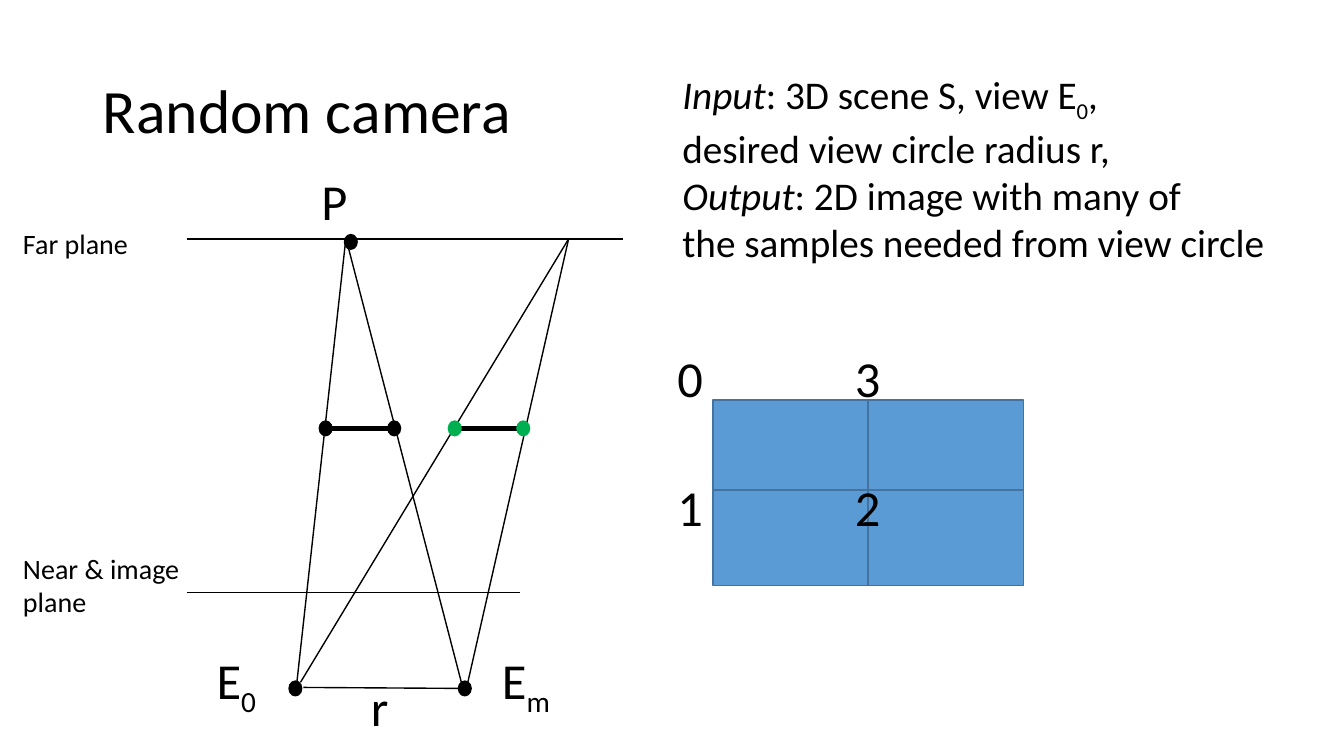
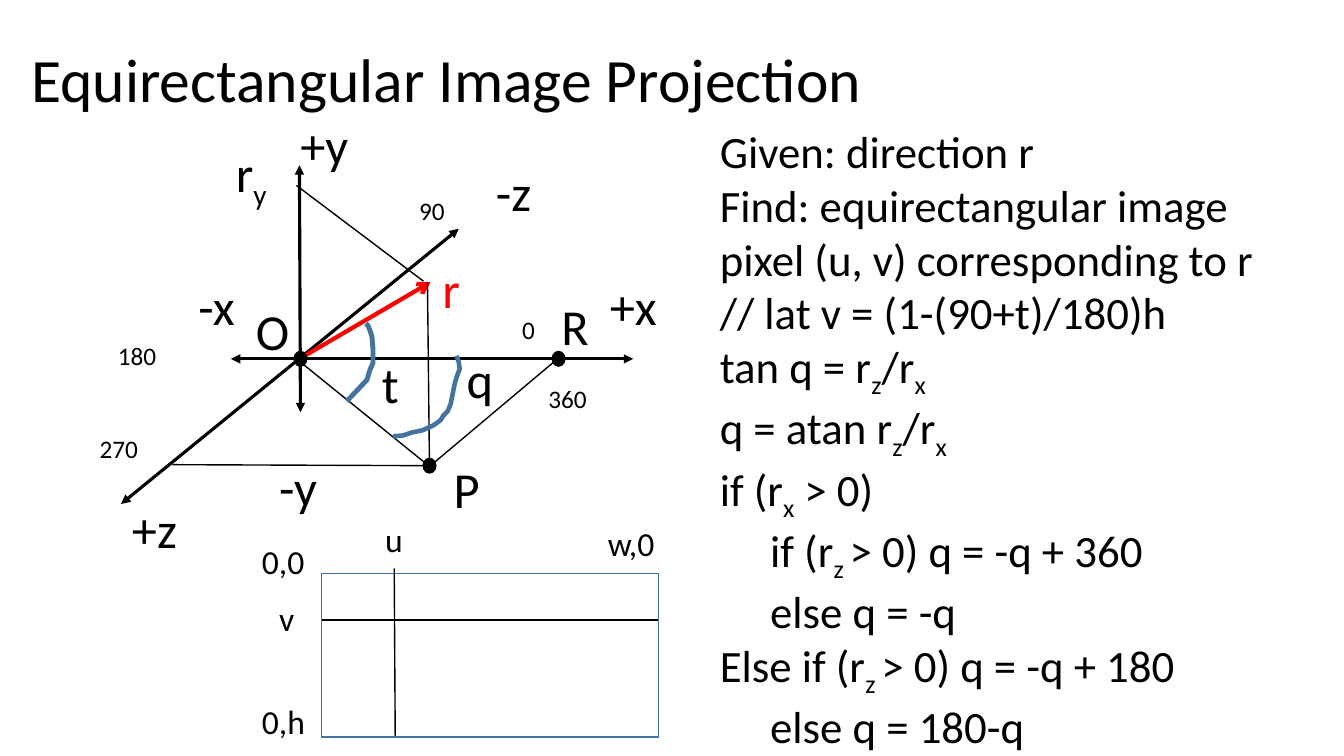
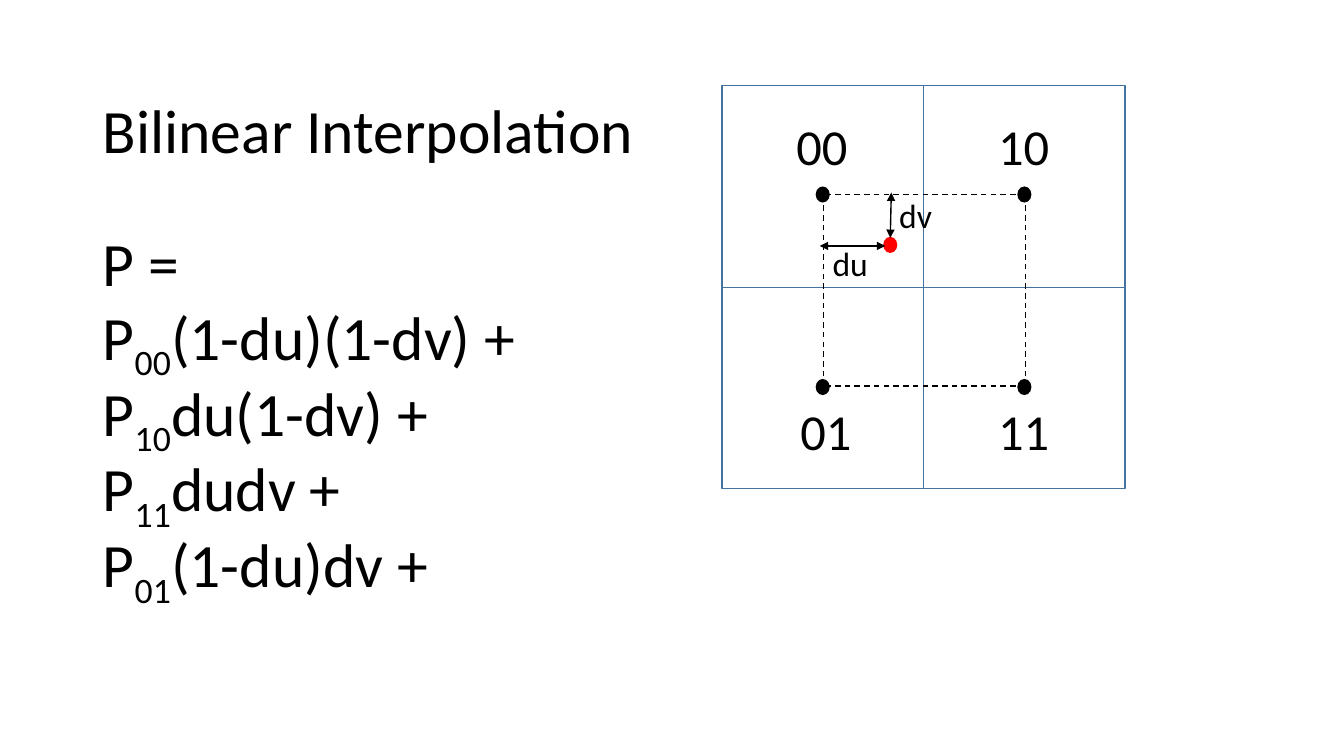
from dataclasses import dataclass
from itertools import product
from typing import Optional

from lxml import etree
from pptx import Presentation
from pptx import util as u
from pptx.dml.color import RGBColor
from pptx.enum import dml, shapes, text
from pptx.oxml.ns import qn

COLORS = {"ink": "000000", "red": "FF0000", "green": "00B050", "fill": "5B9BD5", "edge": "43739E"}
FONT = "Calibri"
DOT_W, DOT_H = 0.14, 0.16


@dataclass
class Label:
    text: str
    x: float
    y: float
    w: float
    size: float = 36
    color: str = "ink"


@dataclass
class Line:
    x1: float
    y1: float
    x2: float
    y2: float
    width: float = 1
    color: str = "ink"
    head: Optional[str] = None
    tail: Optional[str] = None
    dashed: bool = False


@dataclass
class Dot:
    x: float
    y: float
    color: str = "ink"


@dataclass
class Box:
    x: float
    y: float
    w: float
    h: float
    fill: Optional[str] = None


@dataclass
class Curve:
    points: list[tuple[float, float]]
    width: float


def rgb(name: str) -> RGBColor:
    return RGBColor.from_string(COLORS[name])


def write(p, line: str, size: float, color: str = "ink") -> None:
    for i, part in enumerate(line.split("_")):
        for j, piece in enumerate(part.split("*")):
            if not piece:
                continue
            r = p.add_run()
            r.text = piece
            r.font.name, r.font.size = FONT, u.Pt(size)
            r.font.color.rgb = rgb(color)
            if j % 2:
                r.font.italic = True
            if i % 2:
                r._r.get_or_add_rPr().set("baseline", "-25000")


def write_lines(tf, content: str, size: float, color: str = "ink") -> None:
    for i, line in enumerate(content.split("\n")):
        p = tf.add_paragraph() if i else tf.paragraphs[0]
        write(p, line, size, color)


def add_slide(prs, title: str, x: float, y: float, w: float, h: float):
    s = prs.slides.add_slide(prs.slide_layouts[5])
    sp = s.shapes.title
    sp.left, sp.top, sp.width, sp.height = map(u.Inches, (x, y, w, h))
    tf = sp.text_frame
    tf.word_wrap = True
    tf.auto_size = text.MSO_AUTO_SIZE.NONE
    tf.vertical_anchor = text.MSO_ANCHOR.MIDDLE
    write_lines(tf, title, 44)
    for p in tf.paragraphs:
        p.alignment = text.PP_ALIGN.LEFT
        p.line_spacing = 0.9
        p.space_before = u.Pt(0)
    return s


def add_label(s, label: Label) -> None:
    height = (label.text.count("\n") + 1) * label.size * 1.22 / 72 + 0.1
    sp = s.shapes.add_textbox(*map(u.Inches, (label.x, label.y, label.w, height)))
    tf = sp.text_frame
    tf.word_wrap = False
    tf.auto_size = text.MSO_AUTO_SIZE.SHAPE_TO_FIT_TEXT
    write_lines(tf, label.text, label.size, label.color)


def add_line(s, line: Line) -> None:
    ends = map(u.Inches, (line.x1, line.y1, line.x2, line.y2))
    c = s.shapes.add_connector(shapes.MSO_CONNECTOR.STRAIGHT, *ends)
    c.line.color.rgb = rgb(line.color)
    c.line.width = u.Pt(line.width)
    if line.dashed:
        c.line.dash_style = dml.MSO_LINE.DASH
    ln = c.line._get_or_add_ln()
    for tag, kind in (("a:headEnd", line.head), ("a:tailEnd", line.tail)):
        if kind:
            etree.SubElement(ln, qn(tag)).set("type", kind)
    etree.SubElement(c._element.spPr, qn("a:effectLst"))


def add_dot(s, dot: Dot) -> None:
    at = map(u.Inches, (dot.x - DOT_W / 2, dot.y - DOT_H / 2, DOT_W, DOT_H))
    sp = s.shapes.add_shape(shapes.MSO_SHAPE.OVAL, *at)
    sp.shadow.inherit = False
    sp.fill.solid()
    sp.fill.fore_color.rgb = rgb(dot.color)
    sp.line.fill.background()


def outline(sp, width: float, fill: Optional[str] = None) -> None:
    sp.shadow.inherit = False
    if fill:
        sp.fill.solid()
        sp.fill.fore_color.rgb = rgb(fill)
    else:
        sp.fill.background()
    sp.line.color.rgb = rgb("edge")
    sp.line.width = u.Pt(width)


def add_box(s, box: Box) -> None:
    at = map(u.Inches, (box.x, box.y, box.w, box.h))
    outline(s.shapes.add_shape(shapes.MSO_SHAPE.RECTANGLE, *at), 1, box.fill)


def add_curve(s, curve: Curve) -> None:
    points = [(u.Inches(x), u.Inches(y)) for x, y in curve.points]
    fb = s.shapes.build_freeform(*points[0])
    fb.add_line_segments(points[1:], close=False)
    outline(fb.convert_to_shape(), curve.width)


DRAW = {Label: add_label, Line: add_line, Dot: add_dot, Box: add_box, Curve: add_curve}


def draw(s, items: list) -> None:
    for item in items:
        DRAW[type(item)](s, item)


def random_camera(prs) -> None:
    s = add_slide(prs, "Random camera", 0.92, 0.4, 11.5, 1.45)
    draw(s, [
        Line(4.64, 6.77, 5.64, 2.37),
        Line(2.98, 6.77, 5.64, 2.37),
        Line(2.93, 6.9, 3.43, 2.37),
        Line(4.61, 6.9, 3.43, 2.36),
        Line(3.01, 6.82, 4.64, 6.83),
        Line(1.85, 5.88, 5.16, 5.88),
        Line(1.85, 2.37, 6.18, 2.37),
        Line(3.23, 4.25, 3.89, 4.25, 3),
        Line(4.51, 4.25, 5.18, 4.25, 3),
        Dot(3.48, 2.4),
        Dot(3.23, 4.25),
        Dot(3.91, 4.25),
        Dot(4.51, 4.25, "green"),
        Dot(5.19, 4.25, "green"),
        Dot(2.93, 6.83),
        Dot(4.61, 6.83),
        Label("*Input*: 3D scene S, view E_0_,\ndesired view circle radius r,\n"
              "*Output*: 2D image with many of\nthe samples needed from view circle",
              6.67, 0.65, 6.03, 28),
        Label("P", 3.09, 1.64, 0.46),
        Label("E_0_", 2.05, 6.39, 0.64),
        Label("E_m_", 4.88, 6.39, 0.72),
        Label("r", 3.58, 6.66, 0.38),
        Label("Far plane", 0.13, 2.2, 1.26, 20),
        Label("Near & image\nplane", 0.13, 5.42, 1.77, 20),
    ])
    draw(s, [Box(x, y, 1.54, 0.95, "fill") for y, x in product((3.97, 4.86), (7.07, 8.61))])
    corners = product((6.62, 8.38), (3.39, 4.67))
    draw(s, [Label(name, x, y, 0.46) for name, (x, y) in zip("0132", corners)])


def equirectangular(prs) -> None:
    s = add_slide(prs, "Equirectangular Image Projection", 0.21, 0.09, 11.5, 1.45)
    axes = [(2.98, 4.09, 2.97, 1.64), (6.28, 3.56, 2.29, 3.56), (4.55, 2.27, 1.2, 5)]
    draw(s, [Line(*axis, 2.25, head="triangle", tail="triangle") for axis in axes])
    draw(s, [
        Line(2.97, 3.56, 4.27, 2.8, 3, "red", tail="arrow"),
        Line(4.26, 4.66, 4.24, 2.8),
        Line(1.71, 4.61, 4.24, 4.62),
        Line(4.27, 4.62, 5.53, 3.56),
        Line(4.25, 4.62, 2.99, 3.6),
        Line(4.2, 2.79, 2.94, 1.84),
        Box(3.19, 5.69, 3.34, 1.62),
        Line(3.92, 7.3, 3.91, 5.64),
        Line(6.53, 6.15, 3.19, 6.15),
        Curve([(3.44, 3.98), (3.64, 3.77), (3.67, 3.67), (3.7, 3.6), (3.7, 3.47),
               (3.69, 3.34), (3.67, 3.28), (3.65, 3.23), (3.63, 3.21)], 3.5),
        Curve([(3.9, 4.33), (4, 4.32), (4.09, 4.29), (4.19, 4.27), (4.3, 4.22), (4.37, 4.17),
               (4.4, 4.12), (4.44, 4.08), (4.47, 4.01), (4.49, 3.91), (4.51, 3.81),
               (4.53, 3.74), (4.56, 3.66), (4.55, 3.59), (4.53, 3.53)], 3.25),
        Dot(4.26, 4.62),
        Dot(5.54, 3.56),
        Dot(2.98, 3.56),
        Label("+y", 2.88, 1.08, 0.68),
        Label("-y", 2.67, 4.48, 0.65),
        Label("+z", 1.21, 4.89, 0.65),
        Label("-z", 4.82, 1.55, 0.56),
        Label("-x", 1.87, 2.68, 0.58),
        Label("+x", 5.95, 2.68, 0.67),
        Label("r", 4.29, 2.51, 0.38, color="red"),
        Label("r_y_", 2.24, 1.36, 0.53),
        Label("t", 3.69, 3.45, 0.37),
        Label("q", 4.53, 3.4, 0.47),
        Label("P", 4.4, 4.5, 0.46),
        Label("O", 2.44, 2.93, 0.54),
        Label("R", 5.47, 2.88, 0.48),
        Label("0,0", 2.5, 5.32, 0.63, 24),
        Label("0,h", 2.5, 6.9, 0.63, 24),
        Label("w,0", 5.93, 5.14, 0.67, 24),
        Label("u", 3.72, 5.1, 0.38, 24),
        Label("v", 2.67, 5.88, 0.35, 24),
        Label("0", 5.08, 3.07, 0.33, 18),
        Label("90", 4.06, 1.89, 0.46, 18),
        Label("180", 1.07, 3.33, 0.59, 18),
        Label("270", 0.89, 4.25, 0.59, 18),
        Label("360", 5.34, 3.75, 0.59, 18),
        Label("Given: direction r\nFind: equirectangular image\n"
              "pixel (u, v) corresponding to r\n// lat v = (1-(90+t)/180)h\n"
              "tan q = r_z_/r_x_\nq = atan r_z_/r_x_\nif (r_x_ > 0)\n"
              "\tif (r_z _> 0) q = -q + 360\n\telse q = -q\n"
              "Else if (r_z _> 0) q = -q + 180\n\telse q = 180-q",
              7.04, 1.18, 5.55, 32),
    ])


def bilinear(prs) -> None:
    s = add_slide(prs, "Bilinear Interpolation\nP =\nP_00_(1-du)(1-dv) +\nP_10_du(1-dv) +\n"
                  "P_11_dudv +\nP_01_(1-du)dv +", 0.92, 0.4, 5.5, 6.17)
    s.shapes.title.text_frame.paragraphs[0].space_after = u.Pt(48)
    draw(s, [Box(x, y, 2, 2) for y, x in product((0.85, 2.85), (7.16, 9.16))])
    draw(s, [Dot(x, y) for x, y in product((8.16, 10.16), (1.93, 3.84))])
    draw(s, [
        Dot(8.83, 2.43, "red"),
        Label("00", 7.8, 1.09, 0.71),
        Label("10", 9.8, 1.09, 0.71),
        Label("11", 9.8, 3.92, 0.71),
        Label("01", 7.84, 3.92, 0.71),
    ])
    draw(s, [Line(x, 3.83, x, 1.93, dashed=True) for x in (8.17, 10.17)])
    draw(s, [Line(10.17, y, 8.17, y, dashed=True) for y in (1.93, 3.83)])
    draw(s, [
        Line(8.78, 2.44, 8.13, 2.44, head="triangle", tail="triangle"),
        Line(8.84, 1.91, 8.83, 2.36, head="triangle", tail="triangle"),
        Label("du", 8.16, 2.36, 0.56, 24),
        Label("dv", 8.82, 1.88, 0.53, 24),
    ])


def main() -> None:
    prs = Presentation()
    prs.slide_width, prs.slide_height = u.Inches(13.33), u.Inches(7.5)
    for build in (random_camera, equirectangular, bilinear):
        build(prs)
    prs.save("out.pptx")


if __name__ == "__main__":
    main()
